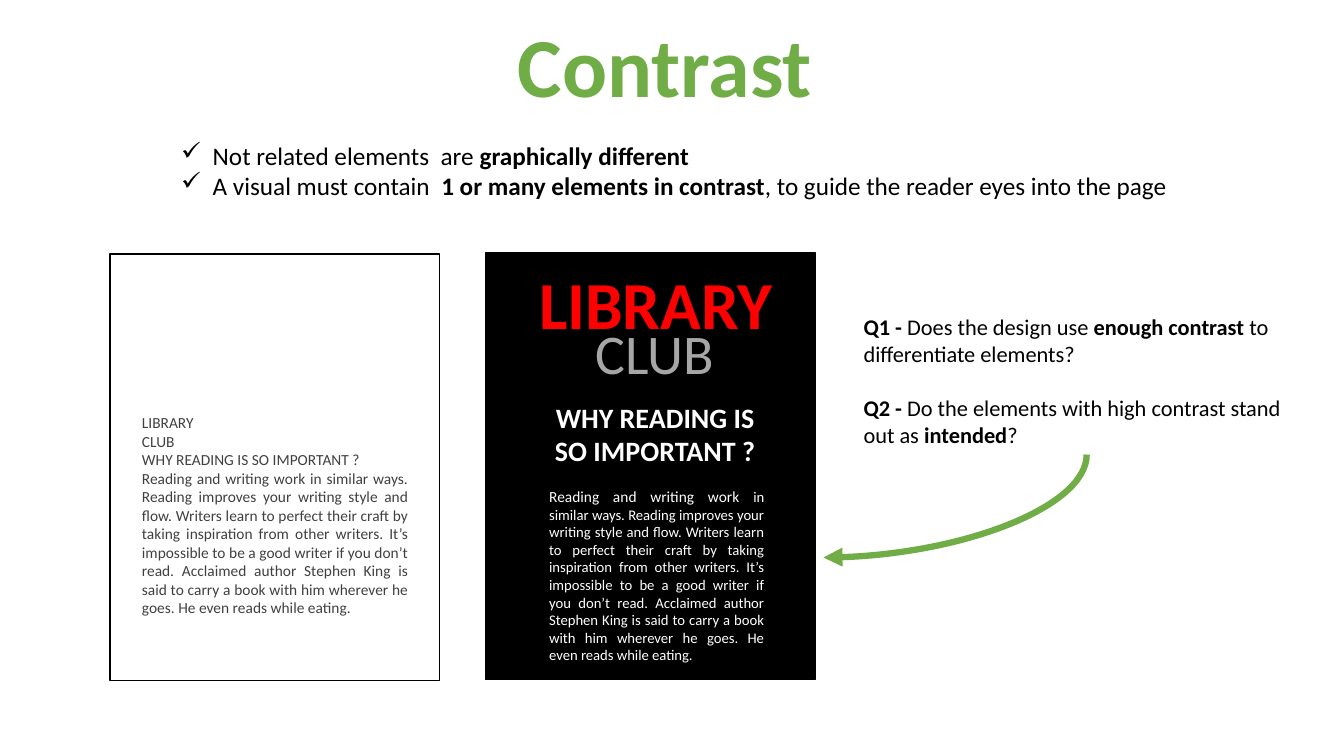
from lxml.etree import SubElement
from pptx import Presentation
from pptx.dml.color import RGBColor
from pptx.enum.shapes import MSO_CONNECTOR, MSO_SHAPE
from pptx.enum.text import MSO_ANCHOR, MSO_AUTO_SIZE, PP_ALIGN
from pptx.oxml.ns import qn
from pptx.util import Pt

GREEN, BLACK, WHITE = "70AD47", "000000", "FFFFFF"
HEADING = "WHY READING IS SO IMPORTANT ?"
BODY_START = "Reading and writing work "
BODY_REST = (
    "in similar ways. Reading improves your writing style and flow. "
    "Writers learn to perfect their craft by taking inspiration from other "
    "writers. It’s impossible to be a good writer if you don’t read. "
    "Acclaimed author Stephen King is said to carry a book with him wherever "
    "he goes. He even reads while eating."
)


def rgb(value):
    return RGBColor.from_string(value)


class ContrastSlide:
    font_name = "Calibri"

    def __init__(self, presentation):
        self.slide = presentation.slides.add_slide(presentation.slide_layouts[5])

    def fill_frame(self, frame, paragraphs, size, color, bold=False,
                   align=PP_ALIGN.LEFT, wrap=True):
        frame.word_wrap = wrap
        frame.auto_size = MSO_AUTO_SIZE.NONE
        frame.vertical_anchor = MSO_ANCHOR.TOP
        for index, pieces in enumerate(paragraphs):
            paragraph = frame.add_paragraph() if index else frame.paragraphs[0]
            paragraph.alignment = align
            for position, piece in enumerate(pieces.split("**")):
                if not piece:
                    continue
                run = paragraph.add_run()
                run.text = piece
                run.font.name = self.font_name
                run.font.size = Pt(size)
                run.font.bold = bold or position % 2 == 1
                run.font.color.rgb = rgb(color)
        return frame.paragraphs

    def title(self, text, left, top, width, height, size, color):
        title = self.slide.shapes.title
        title.left, title.top = Pt(left), Pt(top)
        title.width, title.height = Pt(width), Pt(height)
        self.fill_frame(title.text_frame, [text], size, color, bold=True,
                        align=PP_ALIGN.CENTER, wrap=False)

    def text(self, paragraphs, left, top, width, height, size, color, **style):
        box = self.slide.shapes.add_textbox(
            Pt(left), Pt(top), Pt(width), Pt(height))
        return self.fill_frame(box.text_frame, paragraphs, size, color, **style)

    def checklist(self, items, left, top, width, height, size, color):
        for item in self.text(items, left, top, width, height, size, color):
            properties = item._p.get_or_add_pPr()
            properties.set("marL", str(Pt(22.5)))
            properties.set("indent", str(Pt(-22.5)))
            SubElement(properties, qn("a:buChar")).set("char", "✓")

    def page(self, left, top, width, height, fill=None):
        page = self.slide.shapes.add_shape(
            MSO_SHAPE.RECTANGLE, Pt(left), Pt(top), Pt(width), Pt(height))
        page.shadow.inherit = False
        page.line.color.rgb = rgb(BLACK)
        page.line.width = Pt(1)
        if fill:
            page.fill.solid()
            page.fill.fore_color.rgb = rgb(fill)
        else:
            page.fill.background()

    def curved_arrow(self, start_x, start_y, end_x, end_y, color, weight):
        length, drop = start_x - end_x, end_y - start_y
        left = (start_x + end_x - drop) / 2
        top = (start_y + end_y - length) / 2
        arrow = self.slide.shapes.add_connector(
            MSO_CONNECTOR.CURVE, Pt(left), Pt(top),
            Pt(left + drop), Pt(top + length))
        arrow.line.color.rgb = rgb(color)
        arrow.line.width = Pt(weight)
        properties = arrow._element.spPr
        properties.find(qn("a:xfrm")).set("rot", str(90 * 60000))
        properties.find(qn("a:prstGeom")).set("prst", "curvedConnector2")
        SubElement(properties.find(qn("a:ln")), qn("a:tailEnd")).set("type", "triangle")
        SubElement(properties, qn("a:effectLst"))


def main():
    presentation = Presentation()
    presentation.slide_width, presentation.slide_height = Pt(960), Pt(540)
    contrast = ContrastSlide(presentation)

    contrast.title("Contrast", 361.5, 5.8, 226.8, 80, 60, GREEN)
    contrast.checklist(
        ["Not related elements  are **graphically different**",
         "A visual must contain  **1 or many elements in contrast**"
         ", to guide the reader eyes into the page"],
        122.4, 96.5, 765.4, 51, 18, BLACK)

    contrast.page(78.5, 181.5, 235.5, 304.5)
    contrast.text(["LIBRARY", "CLUB", HEADING, BODY_START + BODY_REST],
                  94.3, 291.6, 204.5, 167, 11, "404040",
                  align=PP_ALIGN.JUSTIFY)

    contrast.page(347, 180.7, 235.5, 304.5, fill=BLACK)
    contrast.text([HEADING], 378, 282.2, 180, 55.4, 20, WHITE,
                  bold=True, align=PP_ALIGN.CENTER)
    contrast.text(["CLUB"], 418.3, 223.9, 100, 55.4, 40, "A6A6A6", wrap=False)
    body = contrast.text([BODY_START + "****" + BODY_REST],
                         385.2, 344.2, 167.8, 135.4, 10.5, WHITE,
                         align=PP_ALIGN.JUSTIFY)
    body[0].runs[0].font.size = Pt(11)
    contrast.text(["LIBRARY"], 378, 183.6, 183.6, 65.5, 48, "FF0000",
                  bold=True, wrap=False)

    questions = contrast.text(
        ["**Q1 - **Does the design use **enough contrast** to differentiate elements?",
         "**Q2 - **Do the elements with high contrast stand out as **intended**?"],
        609.8, 220.3, 332, 104.4, 16, BLACK)
    questions[1].space_before = Pt(19.5)
    contrast.curved_arrow(776.2, 324.7, 588.2, 398.2, GREEN, 4.5)

    presentation.save("out.pptx")


if __name__ == "__main__":
    main()
